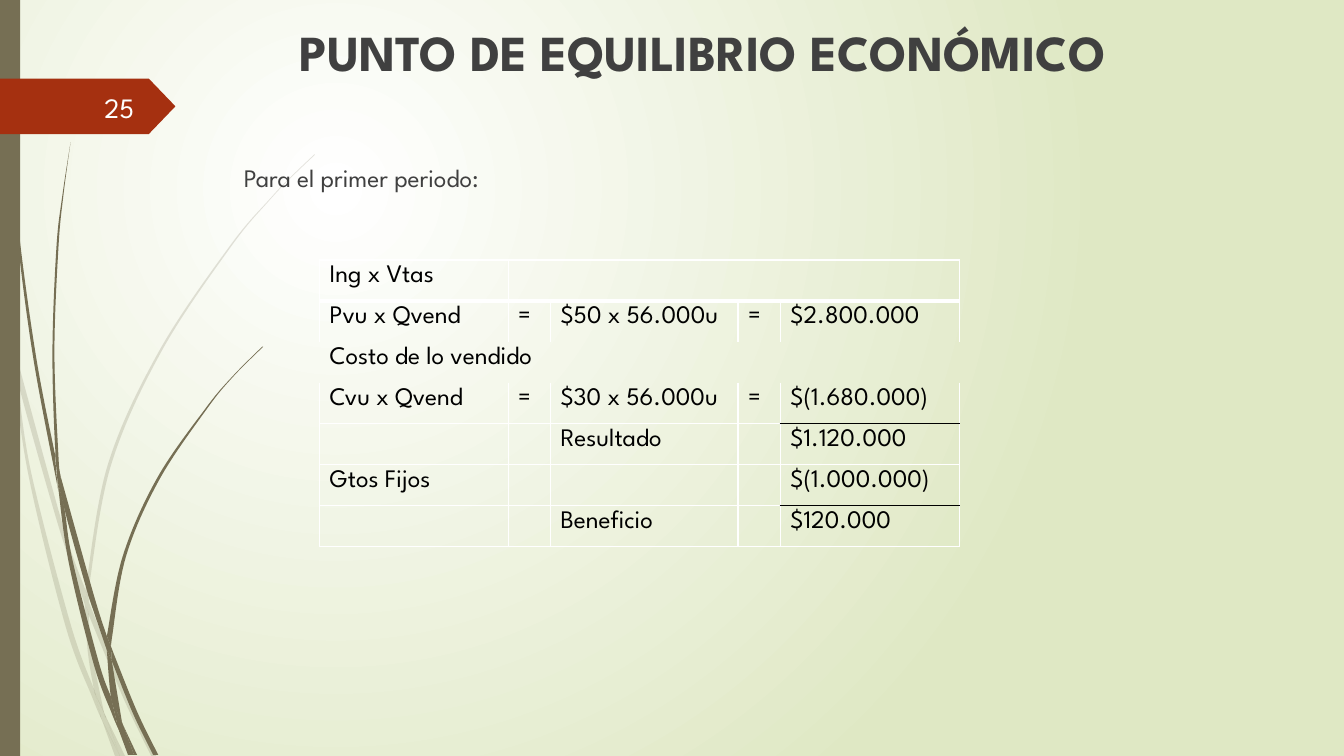
from dataclasses import dataclass

from lxml.etree import SubElement
from pptx import Presentation
from pptx.dml.color import RGBColor
from pptx.enum.shapes import MSO_SHAPE
from pptx.enum.text import MSO_ANCHOR, PP_ALIGN
from pptx.oxml import parse_xml
from pptx.oxml.ns import nsdecls, qn
from pptx.util import Inches, Pt


@dataclass(frozen=True)
class Theme:
    font: str = "League Spartan"
    ink: str = "404040"
    black: str = "000000"
    white: str = "FFFFFF"
    number: str = "FEFFFF"
    pale_green: str = "DFE8C4"
    olive: str = "766F54"
    rust: str = "A53010"
    title_size: int = 36
    number_size: int = 20
    body_size: int = 18


THEME = Theme()

# Grass blades: smooth edges, each one going on from the end of the edge before
FADED_BLADES = [
    [[(0.11, 3.5), (0.09, 3.22), (0, 2.82)], [(0, 2.99)], [(0.1, 3.44), (0.11, 3.5)]],
    [[(0.14, 3.45), (0.17, 3.76), (0.58, 5.22), (0.84, 5.99)], [(0.85, 5.86)],
     [(0.62, 5.2), (0.14, 3.45)]],
    [[(0.88, 5.96), (0.88, 6.1)], [(1.23, 6.94), (1.5, 7.5)], [(1.55, 7.5)],
     [(1.27, 6.92), (0.92, 6.07), (0.88, 5.96)]],
    [[(1.19, 7.5), (1.24, 7.5)], [(1.05, 7.11)], [(1.19, 7.5)]],
    [[(0.11, 3.5), (0.28, 4.7), (0.65, 6.21), (0.92, 6.93), (1.01, 7.14)],
     [(0.99, 7.07), (0.93, 6.83)],
     [(0.7, 6.19), (0.31, 4.69), (0.17, 3.76), (0.11, 3.5)]],
    [[(0.84, 5.99), (0.87, 6.46), (0.93, 6.83), (0.96, 6.92), (1.05, 7.11)],
     [(1.03, 7.06), (0.91, 6.46), (0.88, 6.1)], [(0.88, 6.08), (0.84, 5.99)]],
    [[(0.88, 5.84), (1.1, 4.62), (1.6, 3.49), (2.29, 2.45), (2.68, 1.98), (2.9, 1.75),
      (3.12, 1.54)], [(3.12, 1.53)],
     [(2.89, 1.75), (2.68, 1.97), (2.28, 2.44), (1.58, 3.48), (1.07, 4.61), (0.85, 5.84)],
     [(0.85, 5.86), (0.88, 5.96)], [(0.88, 5.84)]],
    [[(1.01, 7.14), (1.14, 7.5)], [(1.19, 7.5)], [(1.01, 7.14)]],
    [[(0.88, 6.08), (0.88, 6.1)], [(0.88, 5.96)], [(0.85, 5.86)], [(0.84, 5.99)], [(0.88, 6.08)]],
    [[(0.96, 6.92), (0.93, 6.83)], [(0.99, 7.07), (1.01, 7.14), (1.19, 7.5)],
     [(1.05, 7.11), (0.96, 6.92)]],
]
SOLID_BLADES = [
    [[(0.07, 1.1), (0.17, 2.33), (0.33, 3.55), (0.56, 4.77), (0.57, 4.81)],
     [(0.55, 4.57), (0.55, 4.53)],
     [(0.36, 3.55), (0.19, 2.32), (0.08, 1.09), (0.05, 0.48), (0.04, 0)], [(0.03, 0)],
     [(0.04, 0.48), (0.07, 1.1)]],
    [[(0.88, 5.92), (1.06, 6.45)], [(1.06, 6.31)], [(0.93, 5.9), (0.6, 4.72)],
     [(0.64, 5.05), (0.88, 5.92)]],
    [[(1.13, 6.49), (1.1, 6.41)], [(1.11, 6.56)], [(1.32, 7.08), (1.52, 7.49)], [(1.57, 7.49)],
     [(1.36, 7.06), (1.13, 6.49)]],
    [[(1.1, 6.91), (0.98, 6.57), (0.72, 5.56), (0.64, 5.05), (0.57, 4.77)],
     [(0.68, 5.57), (0.93, 6.59), (1.11, 7.08), (1.17, 7.22)], [(1.16, 7.17), (1.1, 6.91)]],
    [[(0.6, 4.72), (0.58, 4.53), (0.54, 3.49), (0.58, 2.45), (0.63, 1.93), (0.7, 1.41)],
     [(0.62, 1.93), (0.56, 2.45), (0.52, 3.49), (0.55, 4.49), (0.6, 4.72)]],
    [[(1.33, 7.49), (1.36, 7.49)], [(1.22, 7.19)], [(1.33, 7.49)]],
    [[(0.57, 4.77), (0.64, 5.05)], [(0.6, 4.72)], [(0.55, 4.49)], [(0.55, 4.53), (0.57, 4.77)]],
    [[(1.11, 6.33), (1.25, 5.52), (1.58, 4.76), (2.05, 4.06), (2.31, 3.74), (2.61, 3.44)],
     [(2.6, 3.44)],
     [(2.31, 3.73), (2.04, 4.05), (1.56, 4.74), (1.22, 5.51), (1.06, 6.31)], [(1.1, 6.41)],
     [(1.11, 6.33)]],
    [[(1.17, 7.22), (1.27, 7.49)], [(1.31, 7.49)], [(1.17, 7.22)]],
    [[(1.06, 6.45), (1.1, 6.91), (1.16, 7.06), (1.22, 7.19)],
     [(1.21, 7.16), (1.11, 6.56)], [(1.09, 6.51), (1.06, 6.45)]],
    [[(1.06, 6.45), (1.09, 6.51), (1.11, 6.56)], [(1.1, 6.41)], [(1.06, 6.31)], [(1.06, 6.45)]],
    [[(1.16, 7.06), (1.1, 6.91)], [(1.16, 7.17), (1.17, 7.22), (1.3, 7.49)], [(1.33, 7.49)],
     [(1.22, 7.19), (1.16, 7.06)]],
]

COLUMN_WIDTHS = [1.87, 0.42, 1.86, 0.42, 1.78]
TABLE_HEIGHT = 2.84
STATEMENT = [
    ["Ing x Vtas", "", "", "", ""],
    ["Pvu x Qvend", "=", "$50 x 56.000u", "=", "$2.800.000"],
    ["Costo de lo vendido", "", "", "", ""],
    ["Cvu x Qvend", "=", "$30 x 56.000u", "=", "$(1.680.000)"],
    ["", "", "Resultado", "", "$1.120.000"],
    ["Gtos Fijos", "", "", "", "$(1.000.000)"],
    ["", "", "Beneficio", "", "$120.000"],
]
RULE_WIDTHS = [1, 3, 0, 0, 1, 1, 1, 1]  # horizontal rules, top to bottom
HEADING_ROW = 2  # spans the table without borders
SUM_RULES = (4, 6)  # black rules in the last column


def color(value):
    return RGBColor.from_string(value)


def paint_background(slide):
    fill = slide.background.fill
    fill.gradient()
    for stop, value in zip(fill.gradient_stops, (THEME.white, THEME.pale_green)):
        stop.color.rgb = color(value)
    linear = slide.background._cSld.find(".//" + qn("a:lin"))
    linear.getparent().replace(linear, parse_xml(
        f'<a:path {nsdecls("a")} path="circle">'
        '<a:fillToRect l="50000" t="50000" r="100000" b="100000"/></a:path>'))


def paint(shape, value, opacity=100):
    shape.shadow.inherit = False
    shape.fill.solid()
    shape.fill.fore_color.rgb = color(value)
    shape.line.fill.background()
    if opacity < 100:
        tint = shape._element.spPr.find(".//" + qn("a:srgbClr"))
        SubElement(tint, qn("a:alpha"), val=str(opacity * 1000))


def bend(segment, before, start, end, after):
    """Turn a straight segment into a Catmull-Rom curve."""
    segment.tag = qn("a:cubicBezTo")
    for place, (near, low, high) in enumerate(((start, before, end), (end, after, start))):
        x, y = (round(n + (h - w) / 6) for n, w, h in zip(near, low, high))
        segment.insert(place, parse_xml(f'<a:pt {nsdecls("a")} x="{x}" y="{y}"/>'))


def add_blade(slide, edges, opacity):
    outline = [(Inches(x), Inches(y)) for edge in edges for x, y in edge]
    builder = slide.shapes.build_freeform(*outline[0])
    builder.add_line_segments(outline[1:], close=True)
    blade = builder.convert_to_shape()
    paint(blade, THEME.olive, opacity)

    points = [(x - blade.left, y - blade.top) for x, y in outline]
    segments = list(blade._element.iter(qn("a:lnTo")))
    first, last = 0, len(edges[0]) - 1
    for following in [*edges[1:], []]:
        for i in range(first, last):
            bend(segments[i], points[max(i - 1, first)], points[i],
                 points[i + 1], points[min(i + 2, last)])
        first, last = last, last + len(following)


def add_block(slide, preset, left, top, width, height, value):
    block = slide.shapes.add_shape(
        preset, Inches(left), Inches(top), Inches(width), Inches(height))
    paint(block, value)
    return block


def write(frame, text, size, value, bold=False, align=PP_ALIGN.LEFT):
    paragraph = frame.paragraphs[0]
    paragraph.alignment = align
    run = paragraph.add_run()
    run.text = text
    run.font.name, run.font.size, run.font.bold = THEME.font, Pt(size), bold
    run.font.color.rgb = color(value)


def add_label(slide, left, top, width, height, text, size, value,
              bold=False, align=PP_ALIGN.LEFT, anchor=MSO_ANCHOR.TOP):
    frame = slide.shapes.add_textbox(
        Inches(left), Inches(top), Inches(width), Inches(height)).text_frame
    frame.word_wrap = True
    frame.vertical_anchor = anchor
    write(frame, text, size, value, bold, align)


def set_borders(cell, sides):
    """sides: (tag, width in points, colour), in the order L, R, T, B."""
    properties = cell._tc.get_or_add_tcPr()
    for position, (tag, width, value) in enumerate(sides):
        ink = f'<a:solidFill><a:srgbClr val="{value}"/></a:solidFill>' if width else "<a:noFill/>"
        properties.insert(position, parse_xml(
            f'<a:{tag} {nsdecls("a")} w="{Pt(width)}">{ink}</a:{tag}>'))


def add_statement(slide, left, top):
    rows, columns = len(STATEMENT), len(COLUMN_WIDTHS)
    table = slide.shapes.add_table(
        rows, columns, Inches(left), Inches(top),
        Inches(sum(COLUMN_WIDTHS)), Inches(TABLE_HEIGHT)).table
    table.first_row = table.horz_banding = False
    for column, width in zip(table.columns, COLUMN_WIDTHS):
        column.width = Inches(width)
    table.cell(0, 1).merge(table.cell(0, columns - 1))
    table.cell(HEADING_ROW, 0).merge(table.cell(HEADING_ROW, columns - 1))

    for r, texts in enumerate(STATEMENT):
        for c, text in enumerate(texts):
            cell = table.cell(r, c)
            cell.fill.background()
            if cell.is_spanned:
                continue
            side = 0 if r == HEADING_ROW else 1
            top_ink, bottom_ink = (
                THEME.black if c == columns - 1 and rule in SUM_RULES else THEME.white
                for rule in (r, r + 1))
            set_borders(cell, [("lnL", side, THEME.white), ("lnR", side, THEME.white),
                               ("lnT", RULE_WIDTHS[r], top_ink),
                               ("lnB", RULE_WIDTHS[r + 1], bottom_ink)])
            if text:
                write(cell.text_frame, text, THEME.body_size, THEME.black)


def main():
    deck = Presentation()
    deck.slide_width, deck.slide_height = Inches(13.33), Inches(7.5)
    slide = deck.slides.add_slide(deck.slide_layouts[6])
    paint_background(slide)
    # Grass and side bar
    for blades, opacity in ((FADED_BLADES, 20), (SOLID_BLADES, 100)):
        for edges in blades:
            add_blade(slide, edges, opacity)
    add_block(slide, MSO_SHAPE.RECTANGLE, 0, 0, 0.2, 7.5, THEME.olive)
    # Slide number on its tag
    number_tag = add_block(slide, MSO_SHAPE.PENTAGON, 0, 0.78, 1.74, 0.55, THEME.rust)
    number_tag.adjustments[0] = 0.48
    add_label(slide, 0.58, 0.86, 0.85, 0.4, "25", THEME.number_size, THEME.number,
              align=PP_ALIGN.RIGHT, anchor=MSO_ANCHOR.MIDDLE)
    # Title, statement and introduction
    add_label(slide, 2.87, 0.16, 9.75, 1.4, "PUNTO DE EQUILIBRIO ECONÓMICO",
              THEME.title_size, THEME.ink, bold=True)
    add_statement(slide, 3.17, 2.58)
    add_label(slide, 2.32, 1.56, 5.33, 0.4, "Para el primer periodo:",
              THEME.body_size, THEME.ink)
    deck.save("out.pptx")


if __name__ == "__main__":
    main()
